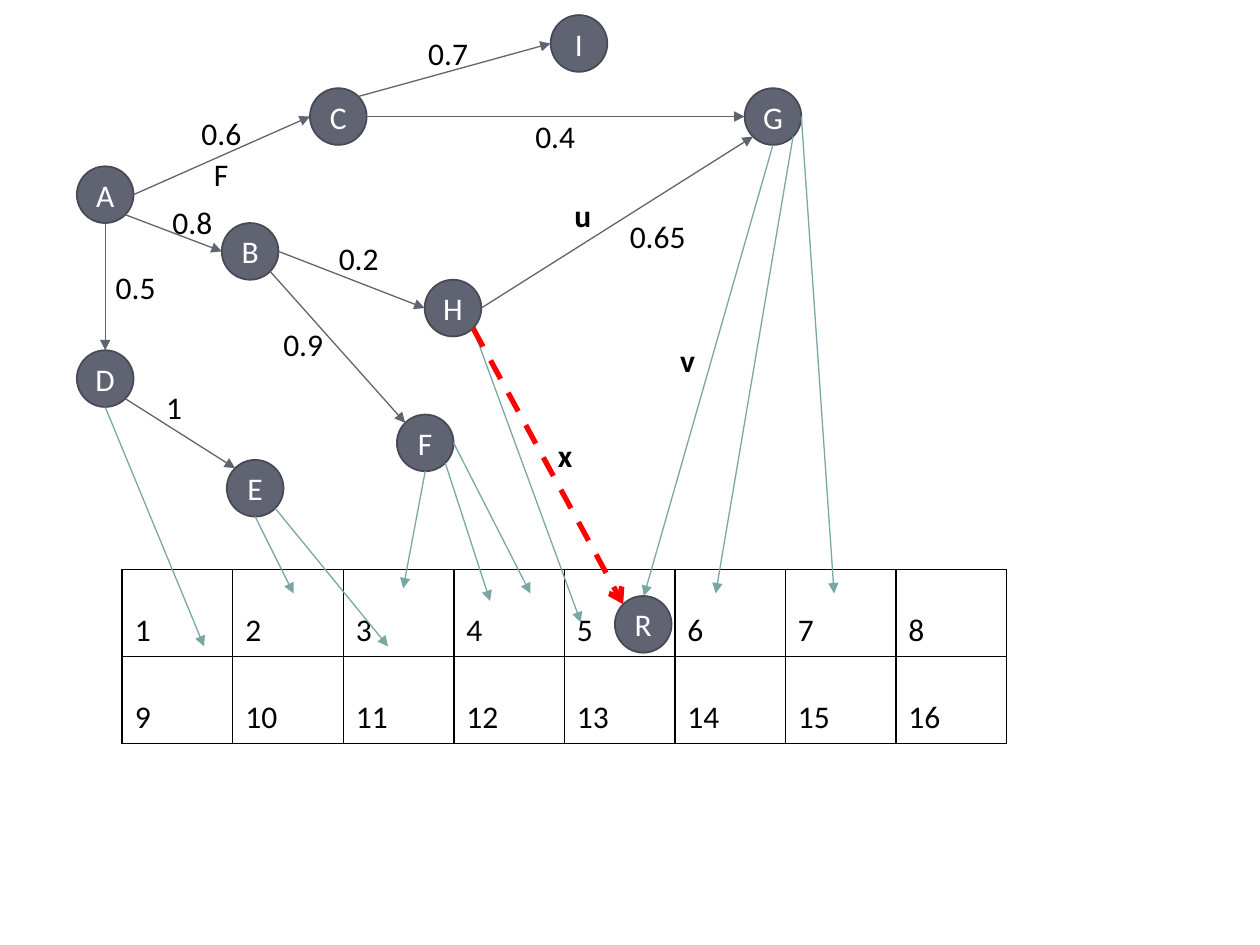
import math

import pptx
import pptx.dml.color
import pptx.enum.dml
import pptx.enum.shapes
import pptx.enum.text
import pptx.oxml
import pptx.oxml.ns
import pptx.util
from pptx.util import Inches

COLORS = {
    "node": "606372",
    "node_line": "474954",
    "pointer": "79A8A4",
    "highlight": "FF0000",
    "text": "000000",
    "node_text": "FFFFFF",
}
DIAMETER = 0.45
ANGLES = {"right": 0, "lower_right": 45, "bottom": 90, "lower_left": 135,
          "left": 180, "upper_left": 225, "top": 270, "upper_right": 315}

NODES = {
    "R": (4.88, 4.73), "A": (0.61, 1.32), "C": (2.46, 0.7),
    "I": (4.37, 0.12), "G": (5.91, 0.7), "B": (1.76, 1.77),
    "D": (0.61, 2.78), "E": (1.8, 3.65), "H": (3.37, 2.22),
    "F": (3.15, 3.29),
}
EDGES = [
    ("A", "right", "C", "left"), ("C", "upper_right", "I", "left"),
    ("C", "right", "G", "left"), ("H", "right", "G", "lower_left"),
    ("B", "right", "H", "left"), ("B", "lower_right", "F", "upper_left"),
    ("D", "lower_right", "E", "upper_left"), ("A", "bottom", "D", "top"),
    ("A", "lower_right", "B", "left"),
]
CELL_POINTERS = [
    ("D", "bottom", (1.62, 5.13)), ("E", "bottom", (2.33, 4.71)),
    ("E", "lower_right", (3.08, 5.13)), ("F", "bottom", (3.2, 4.67)),
    ("F", "lower_right", (3.89, 4.77)), ("F", "right", (4.21, 4.71)),
    ("H", "lower_right", (4.61, 4.94)), ("G", "bottom", (5.11, 4.73)),
    ("G", "lower_right", (5.68, 4.71)), ("G", "right", (6.62, 4.71)),
]
WEIGHTS = [
    ("0.6", 1.5, 0.86), ("0.7", 3.3, 0.22), ("0.4", 4.15, 0.88),
    ("0.65", 4.9, 1.67), ("0.2", 2.59, 1.85), ("0.9", 2.15, 2.53),
    ("1", 1.22, 3.03), ("0.5", 0.82, 2.08), ("0.8", 1.27, 1.56),
    ("F", 1.6, 1.18),
]
ROUTE_NAMES = [("u", 4.46, 1.51), ("v", 5.3, 2.66), ("x", 4.33, 3.41)]


def anchor(node, side):
    left, top = NODES[node]
    radius = DIAMETER / 2
    angle = math.radians(ANGLES[side])
    return (left + radius * (1 + math.cos(angle)),
            top + radius * (1 + math.sin(angle)))


class GraphSlide:
    font_name = "Calibri"
    font_size = pptx.util.Pt(18)

    def __init__(self, presentation):
        self.slide = presentation.slides.add_slide(presentation.slide_layouts[6])

    def color(self, name):
        return pptx.dml.color.RGBColor.from_string(COLORS[name])

    def set_text(self, text_frame, text, color="text", bold=False):
        paragraph = text_frame.paragraphs[0]
        paragraph.text = text
        paragraph.font.name = self.font_name
        paragraph.font.size = self.font_size
        paragraph.font.bold = bold
        paragraph.font.color.rgb = self.color(color)
        return paragraph

    def node(self, name, left, top):
        shape = self.slide.shapes.add_shape(
            pptx.enum.shapes.MSO_SHAPE.OVAL, Inches(left), Inches(top),
            Inches(DIAMETER), Inches(DIAMETER))
        shape.shadow.inherit = False
        shape.fill.solid()
        shape.fill.fore_color.rgb = self.color("node")
        shape.line.color.rgb = self.color("node_line")
        shape.line.width = pptx.util.Pt(1)
        frame = shape.text_frame
        frame.margin_left = frame.margin_right = 0
        frame.margin_top = frame.margin_bottom = 0
        frame.vertical_anchor = pptx.enum.text.MSO_ANCHOR.MIDDLE
        paragraph = self.set_text(frame, name, "node_text")
        paragraph.alignment = pptx.enum.text.PP_ALIGN.CENTER

    def arrow(self, start, end, color, width=0.75, head="triangle", dashed=False):
        connector = self.slide.shapes.add_connector(
            pptx.enum.shapes.MSO_CONNECTOR.STRAIGHT,
            *(Inches(value) for value in (*start, *end)))
        connector.line.color.rgb = self.color(color)
        connector.line.width = pptx.util.Pt(width)
        if dashed:
            connector.line.dash_style = pptx.enum.dml.MSO_LINE.DASH
        properties = connector._element.spPr
        tail = pptx.oxml.parse_xml(
            f'<a:tailEnd {pptx.oxml.ns.nsdecls("a")} type="{head}"/>')
        properties.find(pptx.oxml.ns.qn("a:ln")).append(tail)
        properties.append(pptx.oxml.parse_xml(
            f'<a:effectLst {pptx.oxml.ns.nsdecls("a")}/>'))

    def label(self, text, left, top, bold=False):
        width = 0.33 if len(text) == 1 else 0.13 * len(text) + 0.13
        box = self.slide.shapes.add_textbox(
            Inches(left), Inches(top), Inches(width), Inches(0.4))
        box.text_frame.word_wrap = False
        self.set_text(box.text_frame, text, bold=bold)

    def border(self, cell):
        properties = cell._tc.get_or_add_tcPr()
        for side in ("lnL", "lnR", "lnT", "lnB"):
            properties.append(pptx.oxml.parse_xml(
                f'<a:{side} {pptx.oxml.ns.nsdecls("a")} w="12700"><a:solidFill>'
                f'<a:srgbClr val="{COLORS["text"]}"/></a:solidFill></a:{side}>'))

    def number_table(self, rows, columns, left, top, width, height):
        table = self.slide.shapes.add_table(
            rows, columns, Inches(left), Inches(top),
            Inches(width), Inches(height)).table
        table.first_row = False
        table.horz_banding = False
        for number, cell in enumerate(table.iter_cells(), start=1):
            self.border(cell)
            cell.fill.background()
            cell.vertical_anchor = pptx.enum.text.MSO_ANCHOR.BOTTOM
            self.set_text(cell.text_frame, str(number))


def main():
    presentation = pptx.Presentation()
    presentation.slide_width = Inches(10)
    presentation.slide_height = Inches(7.5)
    graph = GraphSlide(presentation)
    graph.number_table(2, 8, 0.97, 4.52, 7.02, 1.38)
    for name, (left, top) in NODES.items():
        graph.node(name, left, top)
    for source, source_side, target, target_side in EDGES:
        graph.arrow(anchor(source, source_side), anchor(target, target_side), "node")
    for source, side, cell_point in CELL_POINTERS:
        graph.arrow(anchor(source, side), cell_point, "pointer")
    graph.arrow(anchor("H", "lower_right"), anchor("R", "upper_left"),
                "highlight", width=3, head="arrow", dashed=True)
    for weight in WEIGHTS:
        graph.label(*weight)
    for route_name in ROUTE_NAMES:
        graph.label(*route_name, bold=True)
    presentation.save("out.pptx")


if __name__ == "__main__":
    main()
